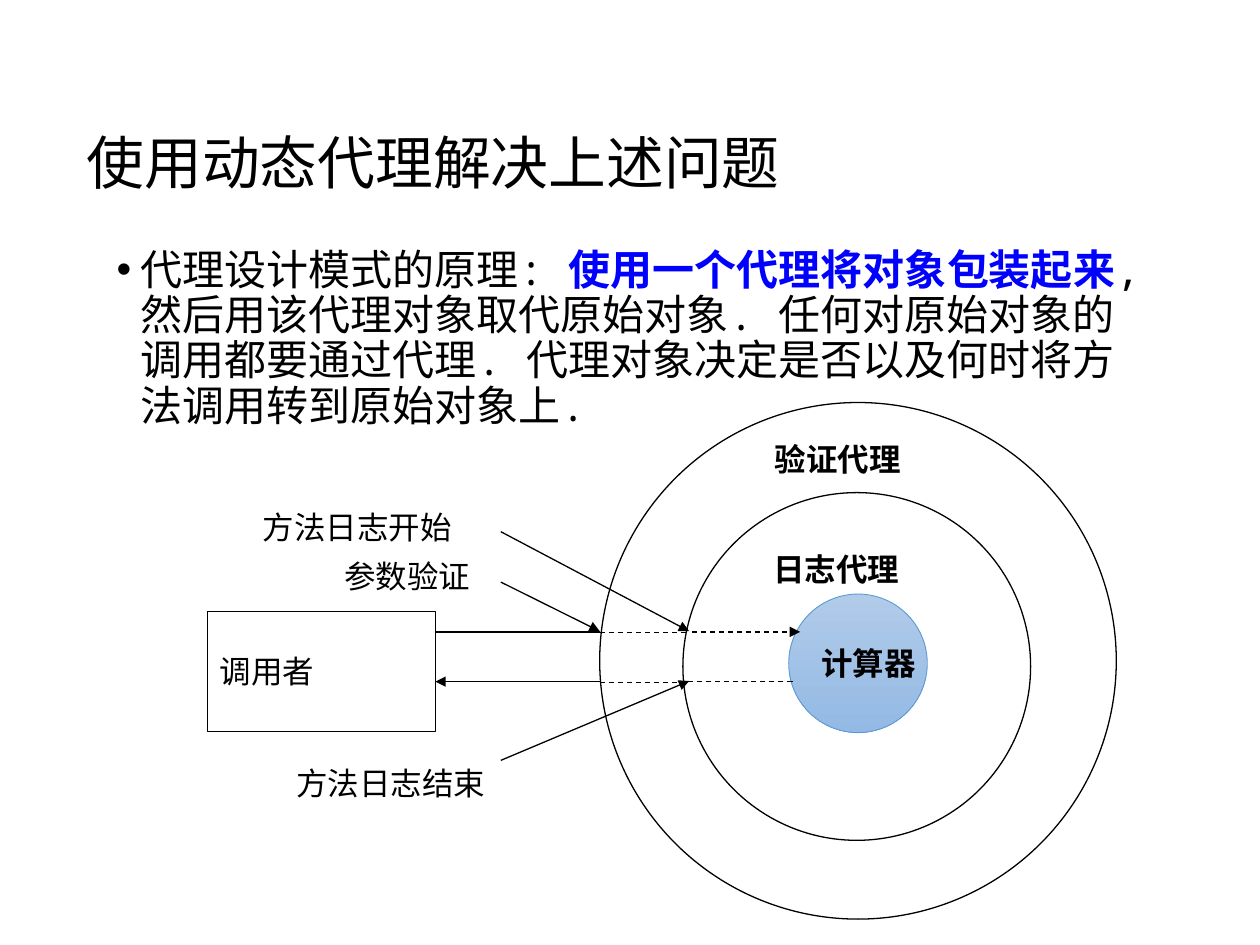
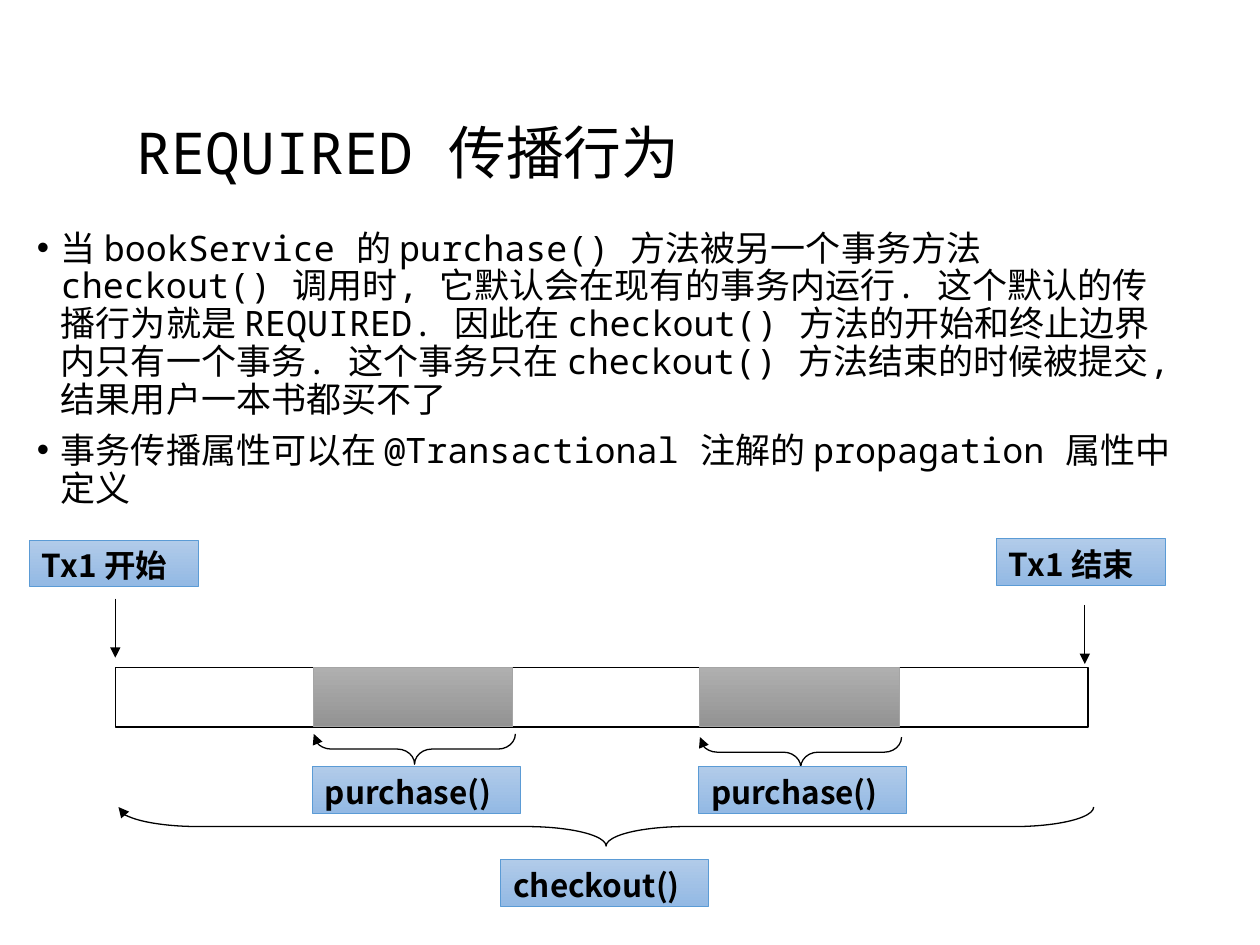
from dataclasses import dataclass

from lxml import etree
from pptx import Presentation
from pptx.dml.color import RGBColor
from pptx.enum.dml import MSO_LINE
from pptx.enum.shapes import MSO_CONNECTOR, MSO_SHAPE
from pptx.enum.text import MSO_ANCHOR, PP_ALIGN
from pptx.oxml.ns import qn
from pptx.util import Emu, Inches, Pt

RECT, OVAL, BRACE = MSO_SHAPE.RECTANGLE, MSO_SHAPE.OVAL, MSO_SHAPE.RIGHT_BRACE
STRAIGHT, DASH = MSO_CONNECTOR.STRAIGHT, MSO_LINE.DASH
TOP, MIDDLE, LEFT = MSO_ANCHOR.TOP, MSO_ANCHOR.MIDDLE, PP_ALIGN.LEFT

# The slide is a grid of 100 columns and 75 rows; all places are given in it.
SLIDE_W, SLIDE_H = Inches(10), Inches(7.5)
COL, ROW = SLIDE_W / 100, SLIDE_H / 75

MONO, SANS = "Noto Sans Mono", "Noto Sans CJK SC"
BLACK, WHITE, ACCENT, BLUE_LINE, GREY_LINE = "000000", "FFFFFF", "0000FF", "5B9BD5", "A5A5A5"
BLUE_FADE, GREY_FADE = ("B1CBE9", "93B9E4"), ("AFAFAF", "939393")
TITLE_SIZE, LABEL_SIZE = 33, 18
LABEL_H, TAG_H = 4, 3.7


@dataclass
class Run:
    text: str
    size: float = LABEL_SIZE
    bold: bool = False
    color: str = BLACK
    font: str = MONO
    asian_font: str = MONO


@dataclass
class Box:
    x: float
    y: float
    w: float
    h: float


@dataclass
class Style:
    fill: tuple[str, ...] = ()
    line: str = BLACK
    width: float = 0.75


@dataclass
class Link:
    x1: float
    y1: float
    x2: float
    y2: float
    arrow: bool = True
    dashed: bool = False


OUTLINE, BAR = Style(), Style((WHITE,))
BLUE, GREY = Style(BLUE_FADE, BLUE_LINE, 0.5), Style(GREY_FADE, GREY_LINE, 0.5)


def rgb(color: str) -> RGBColor:
    return RGBColor.from_string(color)


def place(box: Box) -> list[Emu]:
    return [Emu(round(n)) for n in (box.x * COL, box.y * ROW, box.w * COL, box.h * ROW)]


def add_run(p, run: Run) -> None:
    r = p.add_run()
    r.text = run.text
    r.font.size, r.font.bold, r.font.name = Pt(run.size), run.bold, run.font
    r.font.color.rgb = rgb(run.color)
    etree.SubElement(r.font._element, qn("a:ea")).set("typeface", run.asian_font)


def prose_and_code(*parts: str) -> list[Run]:
    """Runs for parts that alternate between Chinese and code.

    A code run takes the narrow space of the Chinese font before it."""
    return [Run(part, 20, asian_font=SANS if i % 2 else MONO) for i, part in enumerate(parts)]


def write(sp, paragraphs: list[list[Run]], anchor=TOP, wrap: bool = True,
          spacing: float = 1.0, bullets: bool = False) -> None:
    tf = sp.text_frame
    tf.word_wrap, tf.vertical_anchor = wrap, anchor
    for i, runs in enumerate(paragraphs):
        p = tf.paragraphs[0] if i == 0 else tf.add_paragraph()
        p.alignment, p.line_spacing = LEFT, spacing
        if bullets:
            p.space_before = Pt(7.5)
            add_bullet(p)
        for run in runs:
            add_run(p, run)


def add_bullet(p) -> None:
    pPr = p._p.get_or_add_pPr()
    indent = Inches(0.19)
    pPr.set("marL", str(indent))
    pPr.set("indent", str(-indent))
    etree.SubElement(pPr, qn("a:buFont")).set("typeface", "Arial")
    etree.SubElement(pPr, qn("a:buChar")).set("char", "•")


def add_arrowhead(line) -> None:
    tail = etree.SubElement(line._get_or_add_ln(), qn("a:tailEnd"))
    tail.set("type", "triangle")


def add_title(s, x: float, y: float, text: str) -> None:
    sp = s.shapes.add_textbox(*place(Box(x, y, 90, 9.4)))
    write(sp, [[Run(text, TITLE_SIZE)]], MIDDLE, spacing=0.9)


def add_body(s, box: Box, paragraphs: list[list[Run]]) -> None:
    sp = s.shapes.add_textbox(*place(box))
    write(sp, paragraphs, spacing=0.9, bullets=True)


def add_label(s, x: float, y: float, w: float, run: Run) -> None:
    sp = s.shapes.add_textbox(*place(Box(x, y, w, LABEL_H)))
    write(sp, [[run]])


def add_figure(s, kind, box: Box, style: Style = OUTLINE):
    sp = s.shapes.add_shape(kind, *place(box))
    sp.shadow.inherit = False
    if len(style.fill) > 1:
        sp.fill.gradient()
        sp.fill.gradient_angle = 270
        for stop, color in zip(sp.fill.gradient_stops, style.fill):
            stop.color.rgb = rgb(color)
    elif style.fill:
        sp.fill.solid()
        sp.fill.fore_color.rgb = rgb(style.fill[0])
    else:
        sp.fill.background()
    sp.line.color.rgb, sp.line.width = rgb(style.line), Pt(style.width)
    return sp


def add_tag(s, x: float, y: float, w: float, text: str) -> None:
    """Blue box with a bold caption."""
    sp = add_figure(s, RECT, Box(x, y, w, TAG_H), BLUE)
    write(sp, [[Run(text, bold=True, font=SANS, asian_font=SANS)]])


def add_brace(s, x: float, y: float, w: float, h: float, curl: float) -> None:
    """Brace lying under the span x to x + w, pointing down."""
    box = Box(x + (w - h) / 2, y + (h - w) / 2, h, w)
    sp = add_figure(s, BRACE, box)
    sp.rotation = 90
    sp.adjustments[0] = curl
    add_arrowhead(sp.line)


def add_link(s, link: Link) -> None:
    ends = place(Box(link.x1, link.y1, link.x2, link.y2))
    cx = s.shapes.add_connector(STRAIGHT, *ends)
    cx.line.color.rgb, cx.line.width = rgb(BLACK), Pt(0.75)
    if link.dashed:
        cx.line.dash_style = DASH
    if link.arrow:
        add_arrowhead(cx.line)
    etree.SubElement(cx._element.spPr, qn("a:effectLst"))


def build_proxy_slide(s) -> None:
    add_title(s, 5.9, 8.45, "使用动态代理解决上述问题")
    add_body(s, Box(8.27, 19.25, 84.2, 17.5), [[
        Run("代理设计模式的原理: ", 24),
        Run("使用一个代理将对象包装起来", 24, True, ACCENT),
        Run(", 然后用该代理对象取代原始对象. 任何对原始对象的调用都要通过代理. "
            "代理对象决定是否以及何时将方法调用转到原始对象上.", 24),
    ]])

    caller = add_figure(s, RECT, Box(16.45, 48.53, 18.1, 9.5))
    write(caller, [[Run("调用者")]], MIDDLE, wrap=False)
    add_figure(s, OVAL, Box(54.2, 39.1, 27.6, 27.6))
    calculator = add_figure(s, OVAL, Box(62.6, 47.15, 11, 11), BLUE)
    write(calculator, [[Run("计算器", bold=True)]], MIDDLE, wrap=False)
    add_figure(s, OVAL, Box(47.6, 31.95, 41, 41))

    for x, y, w, text, bold in (
        (60.4, 43.2, 15.3, "日志代理", True),
        (60.5, 34.4, 15.3, "验证代理", True),
        (26.35, 43.7, 13.4, "参数验证", False),
        (19.85, 39.8, 22.1, "方法日志开始", False),
        (22.55, 60.15, 19.7, "方法日志结束", False),
    ):
        add_label(s, x, y, w, Run(text, bold=bold))

    caller_edge, outer, inner, note = 34.55, 47.6, 54.7, 39.75
    call, reply = 50.15, 54.1
    for link in (
        Link(caller_edge, call, outer, call, arrow=False),
        Link(outer, 50.2, inner, 50.2, arrow=False, dashed=True),
        Link(54.9, call, 63.5, call, dashed=True),
        Link(62.9, reply, 54.2, reply, arrow=False, dashed=True),
        Link(outer, 54.15, inner, 54.15, arrow=False, dashed=True),
        Link(outer, reply, caller_edge, reply),
        Link(note, 46.2, outer, 50.1),
        Link(note, 42.2, inner, 50.1),
        Link(note, 60.35, inner, 54.05),
    ):
        add_link(s, link)


def build_required_slide(s) -> None:
    add_title(s, 9.85, 7.7, "REQUIRED 传播行为")
    add_body(s, Box(1.95, 17.83, 92.1, 44.8), [
        prose_and_code(
            "当", " bookService", " 的", " purchase()", " 方法被另一个事务方法", " checkout()",
            " 调用时, 它默认会在现有的事务内运行. 这个默认的传播行为就是", " REQUIRED",
            ". 因此在", " checkout()",
            " 方法的开始和终止边界内只有一个事务. 这个事务只在", " checkout()",
            " 方法结束的时候被提交, 结果用户一本书都买不了"),
        prose_and_code("事务传播属性可以在", " @Transactional", " 注解的", " propagation",
                       " 属性中定义"),
    ])

    bar = Box(9.15, 53, 77.2, 4.7)
    add_figure(s, RECT, bar, BAR)
    for x, brace_y in ((24.9, 58.25), (55.55, 58.5)):
        add_figure(s, RECT, Box(x, bar.y, 15.8, bar.h), GREY)
        add_brace(s, x, brace_y, 16, 2.4, 0.57)
        add_tag(s, x - 0.1, 60.85, 16.5, "purchase()")

    add_brace(s, 9.4, 64.05, 77.4, 3.1, 2.05)
    add_tag(s, 39.75, 68.23, 16.5, "checkout()")

    add_tag(s, 2.35, 42.87, 13.4, "Tx1 开始")
    add_tag(s, 79.1, 42.77, 13.4, "Tx1 结束")
    for x, y in ((bar.x, 47.5), (86.1, 48)):
        add_link(s, Link(x, y, x, y + 4.7))


def main() -> None:
    prs = Presentation()
    prs.slide_width, prs.slide_height = SLIDE_W, SLIDE_H
    blank = prs.slide_layouts[6]
    for build in (build_proxy_slide, build_required_slide):
        build(prs.slides.add_slide(blank))
    prs.save("out.pptx")


if __name__ == "__main__":
    main()
